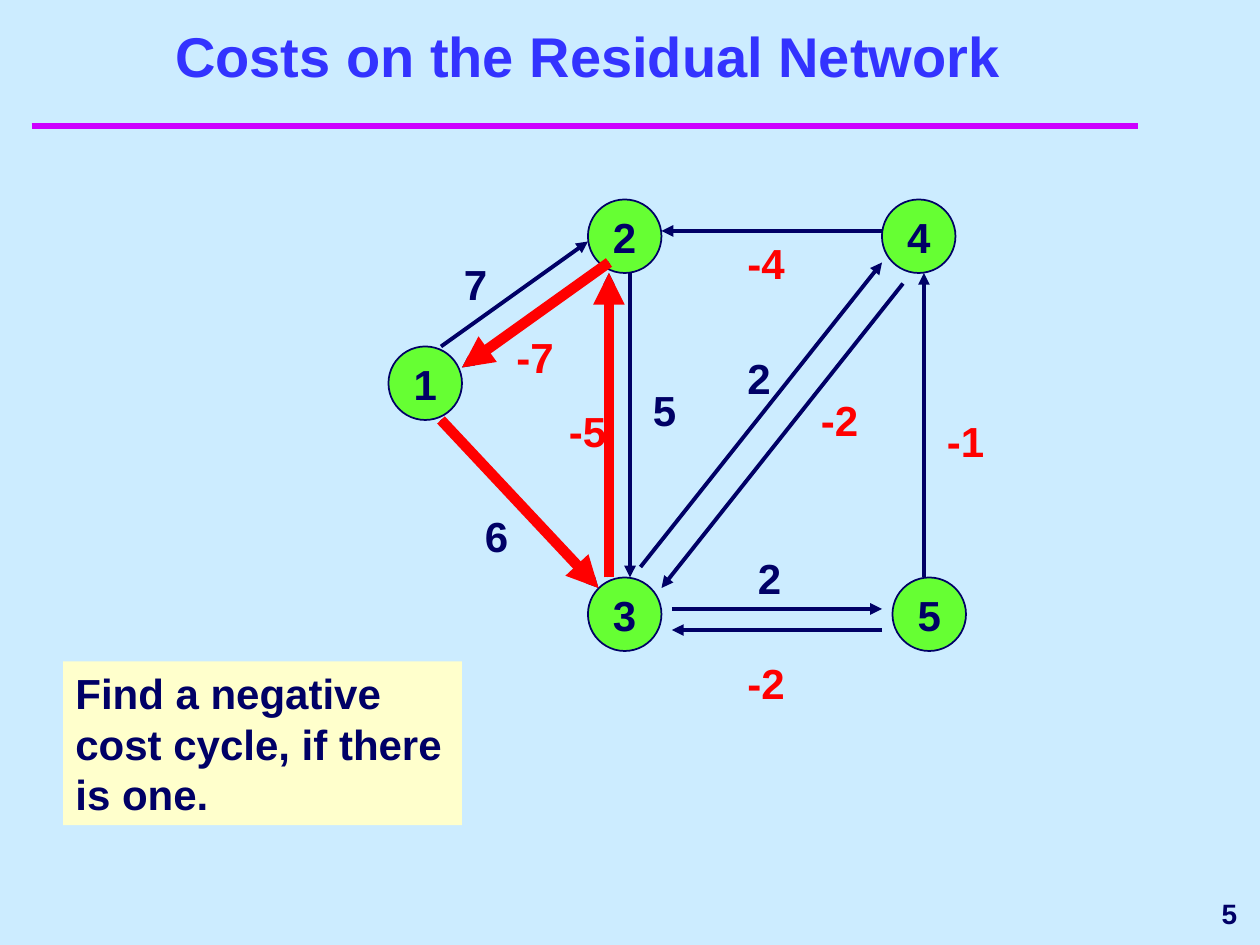
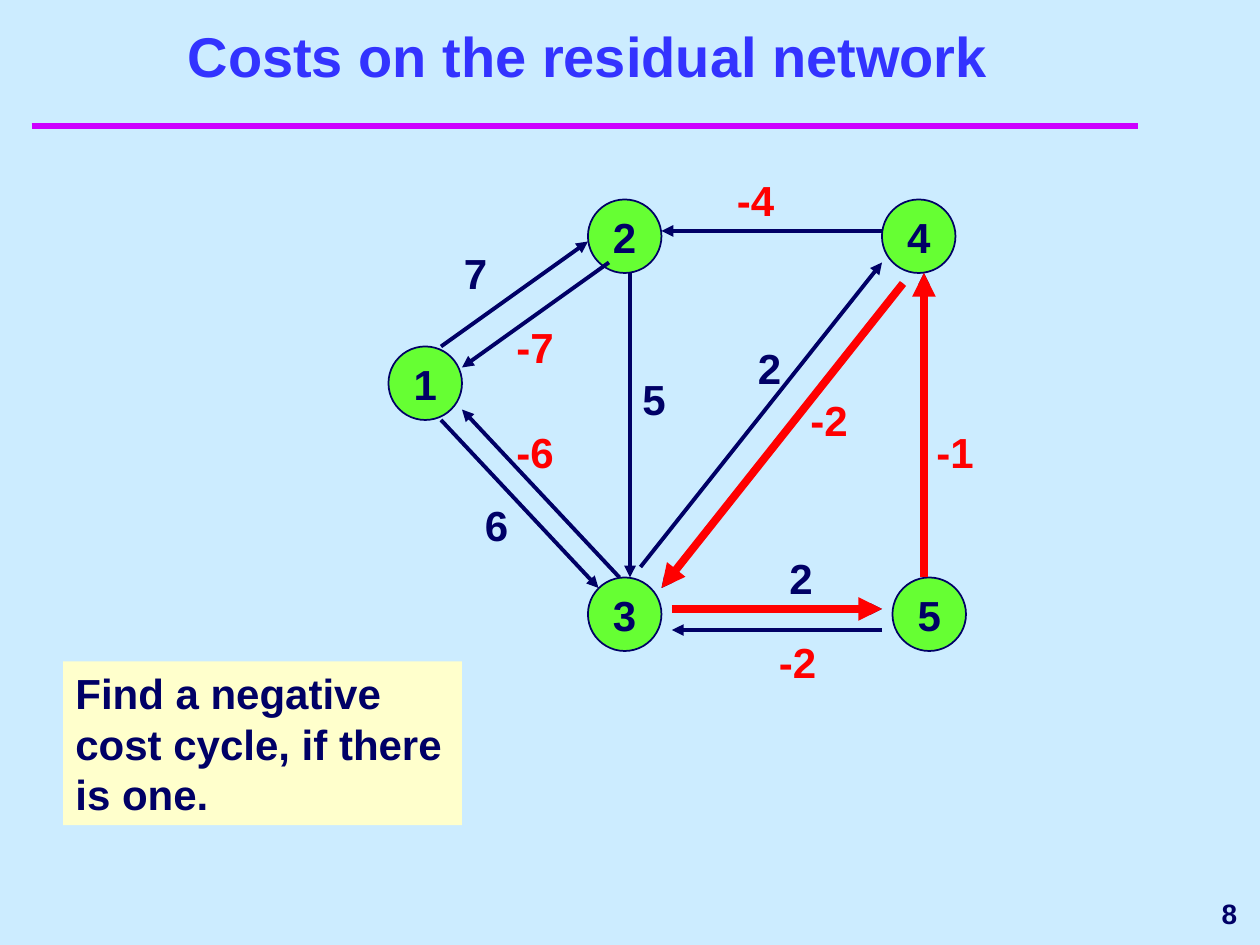
from lxml import etree
from pptx import Presentation
from pptx.dml.color import RGBColor
from pptx.enum.shapes import MSO_CONNECTOR, MSO_SHAPE
from pptx.enum.text import MSO_ANCHOR, PP_ALIGN
from pptx.oxml.ns import qn
from pptx.util import Cm, Pt

SKY = RGBColor(0xCC, 0xEC, 0xFF)
MAGENTA = RGBColor(0xCC, 0x00, 0xFF)
BLUE = RGBColor(0x33, 0x33, 0xFF)
NAVY = RGBColor(0x00, 0x00, 0x66)
GREEN = RGBColor(0x66, 0xFF, 0x33)
RED = RGBColor(0xFF, 0x00, 0x00)
CREAM = RGBColor(0xFF, 0xFF, 0xCC)

STRAIGHT = MSO_CONNECTOR.STRAIGHT
OVAL, RECTANGLE = MSO_SHAPE.OVAL, MSO_SHAPE.RECTANGLE
TOP, MIDDLE, BOTTOM = MSO_ANCHOR.TOP, MSO_ANCHOR.MIDDLE, MSO_ANCHOR.BOTTOM
LEFT, CENTER, RIGHT = PP_ALIGN.LEFT, PP_ALIGN.CENTER, PP_ALIGN.RIGHT

FONT = "Arial"
GRID = 2.54 / 12  # all positions below count steps of this grid, in cm
NODE_SIZE = 7

# Network: top left corner of each node, then start, end and cost of each arc
NODES = {1: (37, 33), 2: (56, 19), 4: (84, 19), 3: (56, 55), 5: (85, 55)}
ARCS = {
    (3, 5): ((64, 58), (84, 58), 2),
    (4, 2): ((84, 22), (63, 22), -4),
    (1, 2): ((42, 33), (56, 23), 7),
    (1, 3): ((42, 40), (57, 56), 6),
    (5, 4): ((88, 55), (88, 26), -1),
    (2, 3): ((60, 26), (60, 55), 5),
    (3, 4): ((61, 54), (84, 25), 2),
    (2, 1): ((58, 25), (44, 35), -7),
    (3, 2): ((58, 55), (58, 26), -5),
    (4, 3): ((86, 27), (63, 56), -2),
    (5, 3): ((84, 60), (64, 60), -2),
    (3, 1): ((59, 55), (44, 39), -6),
}

# Per slide: title, number, label corner of each residual arc, negative cycle, its width
SLIDES = [
    ("Costs on the Residual Network", "5",
     {(3, 4): (70, 33), (3, 5): (71, 52), (1, 3): (45, 48), (1, 2): (43, 24),
      (2, 1): (48, 31), (3, 2): (53, 38), (4, 3): (77, 37), (5, 3): (70, 62),
      (5, 4): (89, 39), (4, 2): (70, 22), (2, 3): (61, 36)},
     [(1, 3), (2, 1), (3, 2)], 6),
    ("Costs on the residual network", "8",
     {(3, 4): (71, 32), (3, 5): (74, 52), (1, 3): (45, 47), (1, 2): (43, 23),
      (2, 1): (48, 30), (4, 3): (76, 37), (5, 3): (73, 60), (5, 4): (88, 40),
      (4, 2): (69, 16), (3, 1): (48, 40), (2, 3): (60, 35)},
     [(3, 5), (5, 4), (4, 3)], 4.5),
]


def add_text(slide, text, left, top, width, height, color=NAVY, size=24,
             align=LEFT, anchor=TOP, preset=None, fill=None, wrap=True):
    """Add bold text in a text box, or in a filled preset shape."""
    box = [Cm(value * GRID) for value in (left, top, width, height)]
    if preset is None:
        shape = slide.shapes.add_textbox(*box)
    else:
        shape = slide.shapes.add_shape(preset, *box)
        shape.shadow.inherit = False
        shape.fill.solid()
        shape.fill.fore_color.rgb = fill
        shape.line.fill.background()
    frame = shape.text_frame
    frame.word_wrap = wrap
    frame.vertical_anchor = anchor
    paragraph = frame.paragraphs[0]
    paragraph.alignment = align
    run = paragraph.add_run()
    run.text = text
    run.font.name = FONT
    run.font.size = Pt(size)
    run.font.bold = True
    run.font.color.rgb = color
    return shape


def add_line(slide, start, end, color, width, arrow=True):
    """Add a straight line, with an arrowhead at its end if wanted."""
    points = [Cm(value * GRID) for value in (*start, *end)]
    connector = slide.shapes.add_connector(STRAIGHT, *points)
    connector.line.color.rgb = color
    connector.line.width = Pt(width)
    if arrow:
        line = connector.line._get_or_add_ln()
        etree.SubElement(line, qn("a:tailEnd"), type="triangle")
    etree.SubElement(connector._element.spPr, qn("a:effectLst"))


presentation = Presentation()
presentation.slide_width = Cm(25.4)
presentation.slide_height = Cm(19.05)
background = presentation.slide_master.background.fill
background.solid()
background.fore_color.rgb = SKY

for title, number, labels, cycle, cycle_width in SLIDES:
    slide = presentation.slides.add_slide(presentation.slide_layouts[6])

    # Title and rule
    add_line(slide, (3, 12), (108.4, 12), MAGENTA, 4, arrow=False)
    add_text(slide, title, 5, 4, 102, 5, BLUE, 32, CENTER, BOTTOM)

    # Nodes
    for node, (left, top) in NODES.items():
        circle = add_text(slide, str(node), left, top, NODE_SIZE, NODE_SIZE,
                          align=CENTER, anchor=MIDDLE, preset=OVAL,
                          fill=GREEN, wrap=False)
        circle.line.color.rgb = NAVY
        circle.line.width = Pt(1)

    # Residual arcs
    for arc, (start, end, cost) in ARCS.items():
        if arc in labels:
            add_line(slide, start, end, NAVY, 2.25)

    # Arc costs, negative ones in red
    for arc, (left, top) in labels.items():
        cost = ARCS[arc][2]
        width = 14 if 1 in arc else 8 if 2 in arc else 7
        add_text(slide, str(cost), left, top, width, 6, RED if cost < 0 else NAVY)

    # Task
    add_text(slide, "Find a negative cost cycle, if there is one.",
             6, 63, 38, 15.6, preset=RECTANGLE, fill=CREAM)

    # Negative cost cycle
    for arc in cycle:
        start, end, cost = ARCS[arc]
        add_line(slide, start, end, RED, cycle_width)

    # Slide number
    add_text(slide, number, 96, 84, 23, 6, size=16, align=RIGHT, anchor=MIDDLE)

presentation.save("out.pptx")
